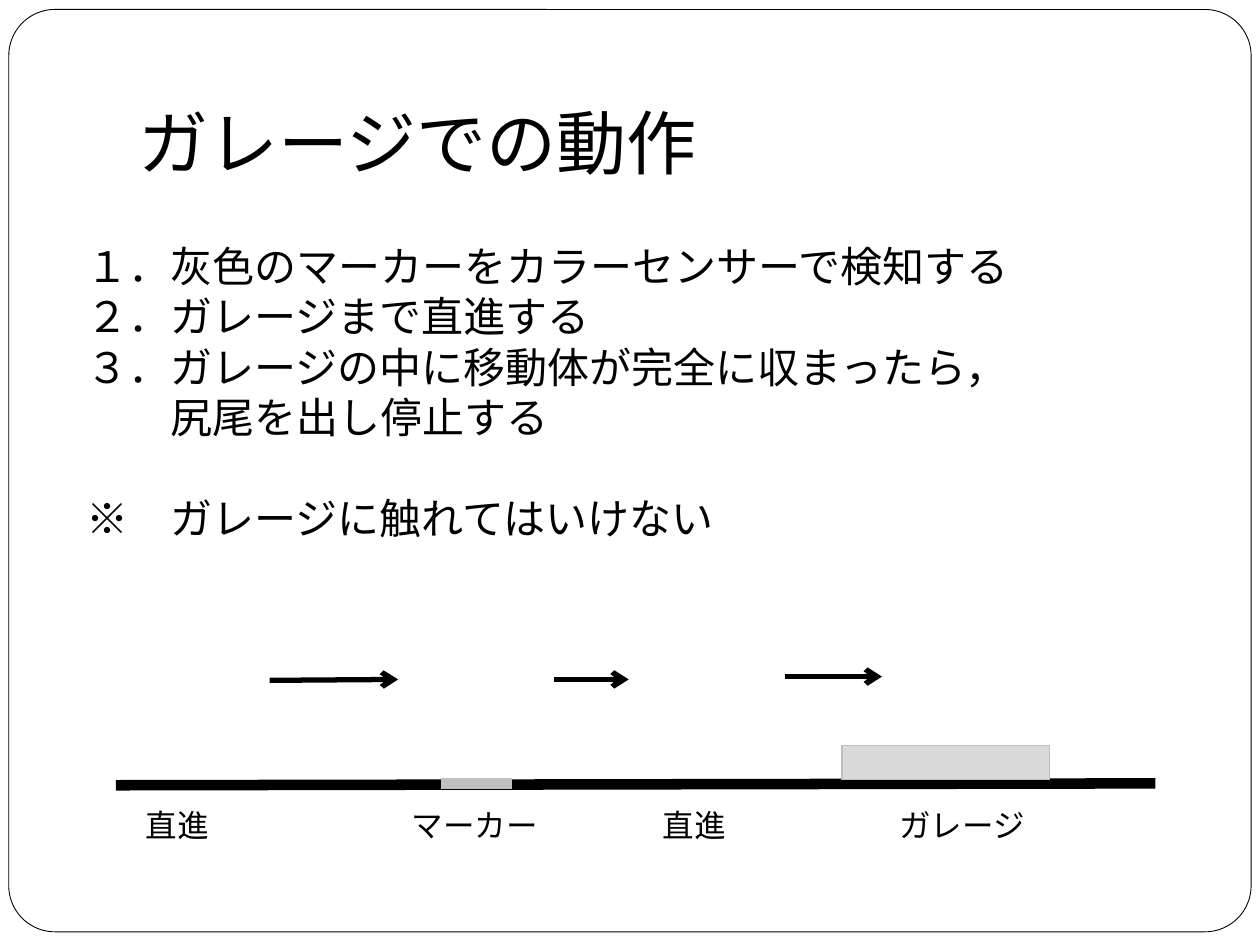
import pptx
import pptx.util
import pptx.dml.color
import pptx.enum.shapes
import pptx.enum.text
import pptx.oxml.ns
import lxml.etree

WIDE, HIGH = 10, 7.5
HUES = {"ink": "000000", "page": "FFFFFF", "mark": "BFBFBF", "wall": "D9D9D9"}
SERIF = "Times New Roman"
LANE = 6.35 / HIGH  # top of the label row, as a share of the height

STEPS = [
    "１．灰色のマーカーをカラーセンサーで検知する",
    "２．ガレージまで直進する",
    "３．ガレージの中に移動体が完全に収まったら，",
    "尻尾を出し停止する",
    "※　ガレージに触れてはいけない",
]
LABELS = [(0.106, 0.071, "直進"), (0.317, 0.121, "マーカー"),
          (0.516, 0.071, "直進"), (0.704, 0.121, "ガレージ")]
ARROWS = [(0.214, 0.72, 0.316, 0.719), (0.44, 0.719, 0.499, 0.719),
          (0.623, 0.716, 0.7, 0.716)]


def across(share):
    return pptx.util.Inches(share * WIDE)


def down(share):
    return pptx.util.Inches(share * HIGH)


def color(name):
    return pptx.dml.color.RGBColor.from_string(HUES[name])


def add_text(slide, box, lines, size, font):
    left, top, width, height = box
    shape = slide.shapes.add_textbox(
        across(left), down(top), across(width), down(height))
    frame = shape.text_frame
    frame.word_wrap = False
    frame.text = "\n".join(lines)
    for para in frame.paragraphs:
        for run in para.runs:
            run.font.size = pptx.util.Pt(size)
            run.font.name = font
            run.font.color.rgb = color("ink")
    return frame


def add_line(slide, ends, hue, weight, arrow=False):
    x1, y1, x2, y2 = ends
    line = slide.shapes.add_connector(
        pptx.enum.shapes.MSO_CONNECTOR.STRAIGHT,
        across(x1), down(y1), across(x2), down(y2))
    line.line.color.rgb = color(hue)
    line.line.width = pptx.util.Pt(weight)
    if arrow:
        tip = lxml.etree.SubElement(
            line.line._get_or_add_ln(), pptx.oxml.ns.qn("a:tailEnd"))
        tip.set("type", "arrow")
    lxml.etree.SubElement(
        line._element.spPr, pptx.oxml.ns.qn("a:effectLst"))


def add_box(slide, kind, box, fill, edge, weight):
    left, top, width, height = box
    shape = slide.shapes.add_shape(
        kind, across(left), down(top), across(width), down(height))
    shape.shadow.inherit = False
    shape.fill.solid()
    shape.fill.fore_color.rgb = color(fill)
    shape.line.color.rgb = color(edge)
    shape.line.width = pptx.util.Pt(weight)
    return shape


def main():
    deck = pptx.Presentation()
    deck.slide_width, deck.slide_height = across(1), down(1)
    slide = deck.slides.add_slide(deck.slide_layouts[6])
    kinds = pptx.enum.shapes.MSO_SHAPE

    # Page frame
    frame = add_box(slide, kinds.ROUNDED_RECTANGLE,
                    (0.007, 0.01, 0.986, 0.976), "page", "ink", 0.5)
    frame.adjustments[0] = 0.05

    # Title
    title = add_text(slide, (0.1, 0.04, 0.85, 0.167),
                     ["ガレージでの動作"], 40, "Lato")
    title.word_wrap = True
    title.vertical_anchor = pptx.enum.text.MSO_ANCHOR.BOTTOM
    title.margin_bottom = pptx.util.Inches(0.1)

    # Steps: the fourth line continues the third, the note stands apart
    body = add_text(slide, (0.059, 0.248, 0.761, 0.336), STEPS, 24, SERIF)
    more, note = body.paragraphs[3:]
    more._p.get_or_add_pPr().set("marL", str(pptx.util.Pt(48)))
    note.space_before = pptx.util.Pt(29)

    # Course with marker and garage
    add_line(slide, (0.092, 0.831, 0.917, 0.829), "ink", 6)
    add_line(slide, (0.35, 0.829, 0.406, 0.829), "mark", 6)
    add_box(slide, kinds.RECTANGLE, (0.668, 0.789, 0.165, 0.036),
            "wall", "mark", 1)

    # Labels and travel arrows
    for left, width, word in LABELS:
        add_text(slide, (left, LANE, width, 0.053), [word], 18, SERIF)
    for ends in ARROWS:
        add_line(slide, ends, "ink", 3, arrow=True)

    deck.save("out.pptx")


if __name__ == "__main__":
    main()
